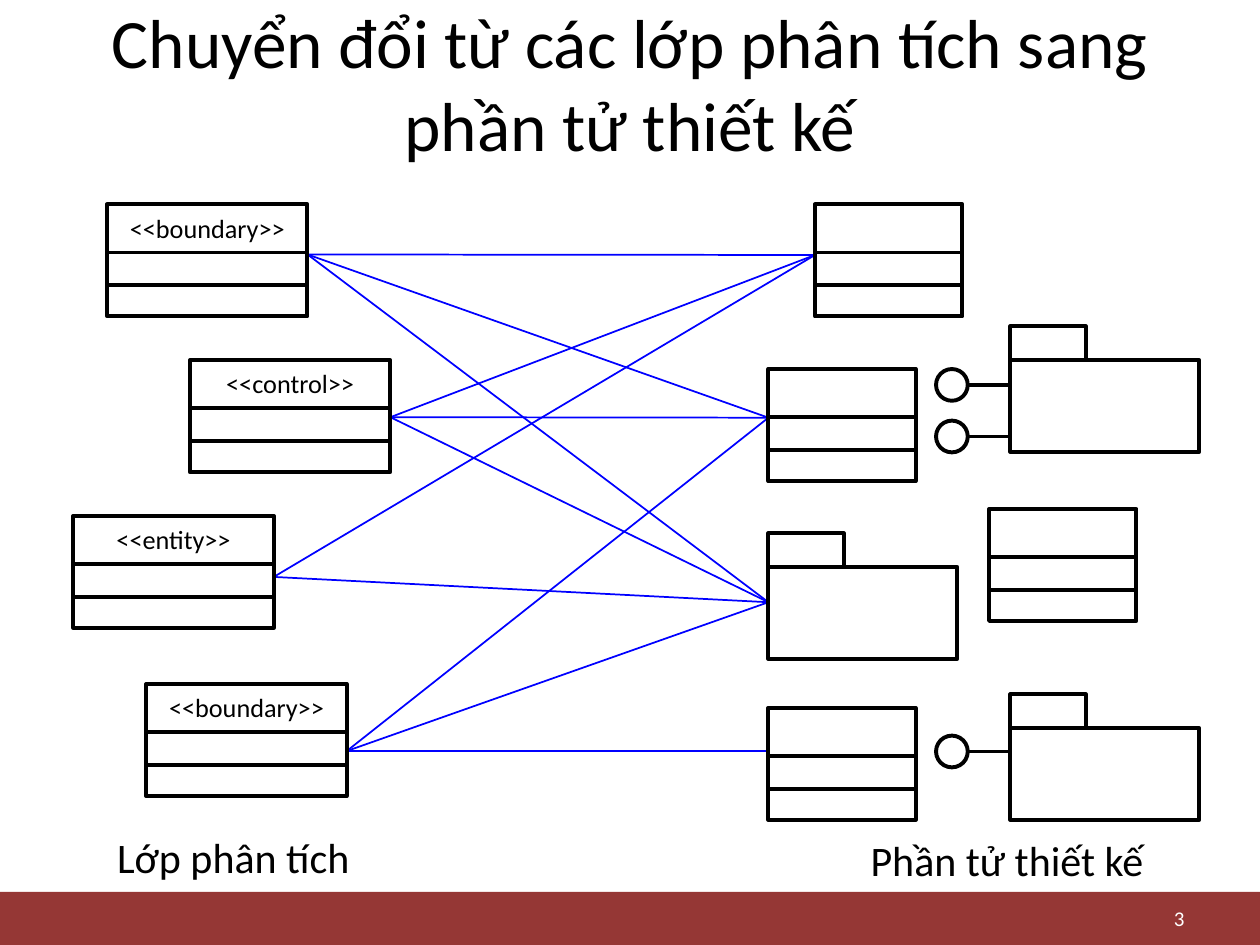
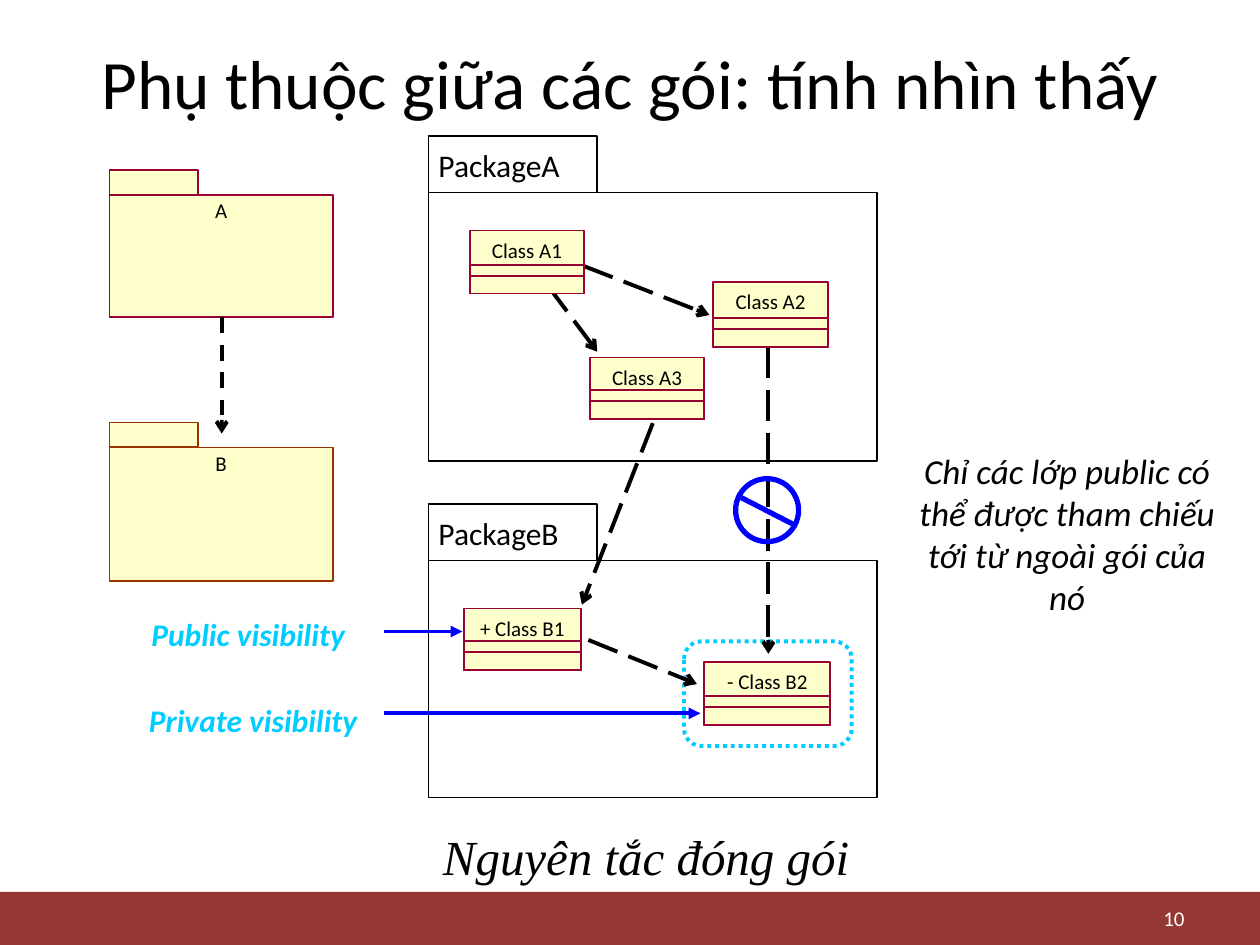
"""Build two slides on moving from analysis classes to design elements and packages."""
import lxml.etree
import pptx
import pptx.dml.color
import pptx.enum.dml
import pptx.enum.shapes
import pptx.enum.text
import pptx.oxml.ns
import pptx.util

Cm = pptx.util.Cm
Pt = pptx.util.Pt
RGBColor = pptx.dml.color.RGBColor
SHAPE = pptx.enum.shapes.MSO_SHAPE
DASH = pptx.enum.dml.MSO_LINE
ALIGN = pptx.enum.text.PP_ALIGN
ANCHOR = pptx.enum.text.MSO_ANCHOR

BLACK = RGBColor(0x00, 0x00, 0x00)
WHITE = RGBColor(0xFF, 0xFF, 0xFF)
BAND_RED = RGBColor(0x95, 0x37, 0x35)
BLUE = RGBColor(0x00, 0x00, 0xFF)
CYAN = RGBColor(0x00, 0xCC, 0xFF)
CREAM = RGBColor(0xFF, 0xFF, 0xCC)
WINE = RGBColor(0x99, 0x00, 0x33)
BROWN = RGBColor(0x99, 0x33, 0x00)
FONT = "Calibri"
SERIF = "Times New Roman"

SLIDE_SIZE = (25.4, 19.05)
TITLE_AREA = (1.27, 0.76, 22.86, 1.78)
BAND_AREA = (0, 17.98, 25.4, 1.07)
NUMBER_AREA = (18.21, 18.16, 5.92, 0.69)
INSETS = (0.25, 0.13)
WIDE_INSETS = (0.3, 0.15)
NO_INSETS = (0, 0)

MAPPING_TITLE = "Chuyển đổi từ các lớp phân tích sang phần tử thiết kế"
ANALYSIS_WIDTH, DESIGN_WIDTH, CLASS_HEIGHT = 4.04, 2.97, 2.26
COMPARTMENTS = (0.97, 1.63)
ANALYSIS_CLASSES = [
    {"label": "<<boundary>>", "at": (2.16, 4.12), "port": 5.13, "to": ("form", "logic", "package")},
    {"label": "<<control>>", "at": (3.83, 7.26), "port": 8.41, "to": ("form", "logic", "package")},
    {"label": "<<entity>>", "at": (1.48, 10.4), "port": 11.63, "to": ("form", "package")},
    {"label": "<<boundary>>", "at": (2.95, 13.79), "port": 15.14, "to": ("logic", "package", "proxy")},
]
DESIGN_CLASSES = [(16.43, 4.12), (15.49, 7.44), (19.94, 10.26), (15.49, 14.27)]
DESIGN_PORTS = {
    "form": (16.43, 5.14),
    "logic": (15.49, 8.42),
    "package": (15.49, 12.14),
    "proxy": (15.49, 15.14),
}
DESIGN_PACKAGES = [
    ((20.37, 6.58), (7.76, 8.8)),
    ((15.49, 10.75), ()),
    ((20.37, 14.0), (15.15,)),
]
PACKAGE_BODY, PACKAGE_TAB = (3.81, 1.85), (1.52, 0.68)
INTERFACE_LEFT, INTERFACE_SIZE = 18.87, 0.64
CAPTIONS = [
    ("Lớp phân tích", (2.11, 16.64, 5.26, 1.27)),
    ("Phần tử thiết kế", (17.3, 16.69, 6.07, 1.27)),
]

VISIBILITY_TITLE = "Phụ thuộc giữa các gói: tính nhìn thấy"
OPEN_PACKAGES = [("PackageB", (8.64, 10.16), (9.04, 4.78)), ("PackageA", (8.64, 2.74), (9.04, 5.41))]
OPEN_TAB = (3.4, 1.14)
SMALL_PACKAGES = [
    ("A", (2.21, 3.43), (4.5, 2.46), WINE),
    ("B", (2.21, 8.52), (4.5, 2.69), BROWN),
]
SMALL_TAB = (1.78, 0.5)
CLASSES = [
    ("Class A1", (9.47, 4.65, 2.31, 1.27)),
    ("Class A2", (14.38, 5.69, 2.31, 1.3)),
    ("Class A3", (11.89, 7.21, 2.31, 1.24)),
    ("+ Class B1", (9.35, 12.27, 2.36, 1.24)),
    ("- Class B2", (14.2, 13.34, 2.54, 1.27)),
]
CLASS_PARTS = (0.58, 0.36)
DEPENDENCIES = [
    ((11.86, 12.9), (14.05, 13.79), DASH.LONG_DASH),
    ((11.76, 5.36), (14.3, 6.35), DASH.LONG_DASH),
    ((11.05, 5.77), (12.04, 7.09), DASH.LONG_DASH),
    ((13.16, 8.53), (11.73, 12.19), DASH.LONG_DASH),
    ((15.49, 6.99), (15.49, 13.18), DASH.LONG_DASH),
    ((4.47, 6.4), (4.47, 8.74), DASH.DASH),
]
VISIBILITIES = [
    ("Public visibility", (2.44, 12.27, 5.13, 1.02), (7.75, 12.73), (9.32, 12.73)),
    ("Private visibility", (2.44, 14.0, 5.33, 1.02), (7.75, 14.38), (14.12, 14.38)),
]
PRIVATE_FRAME = (13.79, 12.93, 3.38, 2.11)
STOP_SIGN = (14.83, 9.65, 1.27, 1.27)
STOP_BAR = ((14.94, 10.03), (16.03, 10.59))
RULE = ("Chỉ các lớp public có thể được tham chiếu tới từ ngoài gói của nó", (18.11, 8.92, 6.81, 3.68))
PRINCIPLE = ("Nguyên tắc đóng gói", (4.45, 16.51, 17.15, 1.5))


def fill_text(frame, text, size, color=BLACK, font=FONT, align=ALIGN.LEFT,
              bold=False, italic=False):
    """Write one formatted run into the first paragraph of a frame."""
    para = frame.paragraphs[0]
    para.alignment = align
    span = para.add_run()
    span.text = text
    span.font.name = font
    span.font.size = Pt(size)
    span.font.color.rgb = color
    span.font.bold = bold
    span.font.italic = italic


def add_text(page, area, text, size, insets=INSETS, anchor=ANCHOR.TOP, wrap=True, **style):
    """Add a text box."""
    frame = page.shapes.add_textbox(*map(Cm, area)).text_frame
    frame.word_wrap = wrap
    frame.vertical_anchor = anchor
    frame.margin_left = frame.margin_right = Cm(insets[0])
    frame.margin_top = frame.margin_bottom = Cm(insets[1])
    fill_text(frame, text, size, **style)


def add_figure(page, area, line=BLACK, weight=2.25, fill=None, kind=SHAPE.RECTANGLE):
    """Add a preset shape with an optional fill and outline."""
    figure = page.shapes.add_shape(kind, *map(Cm, area))
    figure.shadow.inherit = False
    if fill is None:
        figure.fill.background()
    else:
        figure.fill.solid()
        figure.fill.fore_color.rgb = fill
    if line is None:
        figure.line.fill.background()
    else:
        figure.line.color.rgb = line
        figure.line.width = Pt(weight)
    return figure


def add_line(page, start, end, color=BLACK, weight=2.25, dash=None, head=None):
    """Add a straight connector with an optional dash and arrowhead."""
    qn = pptx.oxml.ns.qn
    link = page.shapes.add_connector(
        pptx.enum.shapes.MSO_CONNECTOR.STRAIGHT, *map(Cm, start + end))
    link.line.color.rgb = color
    link.line.width = Pt(weight)
    if dash is not None:
        link.line.dash_style = dash
    if head:
        lxml.etree.SubElement(link.line._get_or_add_ln(), qn("a:tailEnd"), type=head)
    lxml.etree.SubElement(link._element.spPr, qn("a:effectLst"))


def add_package(page, corner, body, tab, **style):
    """Add a package symbol: a tab on top of a body."""
    left, top = corner
    add_figure(page, (left, top + tab[1], *body), **style)
    add_figure(page, (left, top, *tab), **style)


def add_class_outline(page, corner, width):
    """Add an empty class symbol with three compartments."""
    left, top = corner
    add_figure(page, (left, top, width, CLASS_HEIGHT))
    for offset in COMPARTMENTS:
        add_line(page, (left, top + offset), (left + width, top + offset))


def add_page(deck, title, number):
    """Add a slide with the shared title, band and number."""
    page = deck.slides.add_slide(deck.slide_layouts[5])
    add_figure(page, BAND_AREA, line=None, fill=BAND_RED)
    box = page.shapes.title
    box.left, box.top, box.width, box.height = map(Cm, TITLE_AREA)
    frame = box.text_frame
    frame.word_wrap = True
    frame.auto_size = pptx.enum.text.MSO_AUTO_SIZE.NONE
    frame.vertical_anchor = ANCHOR.MIDDLE
    fill_text(frame, title, 39.6, align=ALIGN.CENTER)
    add_text(page, NUMBER_AREA, number, 12, anchor=ANCHOR.MIDDLE,
             color=WHITE, align=ALIGN.RIGHT)
    return page


def build_mapping(deck):
    """Build the slide that maps analysis classes to design elements."""
    page = add_page(deck, MAPPING_TITLE, "3")
    for item in ANALYSIS_CLASSES:
        port = (item["at"][0] + ANALYSIS_WIDTH, item["port"])
        for target in item["to"]:
            add_line(page, port, DESIGN_PORTS[target], color=BLUE, weight=1)
    for corner in DESIGN_CLASSES:
        add_class_outline(page, corner, DESIGN_WIDTH)
    for corner, interfaces in DESIGN_PACKAGES:
        add_package(page, corner, PACKAGE_BODY, PACKAGE_TAB)
        for middle in interfaces:
            add_figure(page, (INTERFACE_LEFT, middle - INTERFACE_SIZE / 2,
                              INTERFACE_SIZE, INTERFACE_SIZE), kind=SHAPE.OVAL)
            add_line(page, (INTERFACE_LEFT + INTERFACE_SIZE, middle), (corner[0], middle))
    for item in ANALYSIS_CLASSES:
        left, top = item["at"]
        add_class_outline(page, item["at"], ANALYSIS_WIDTH)
        add_text(page, (left - 0.2, top, ANALYSIS_WIDTH + 0.4, 0.94), item["label"], 15,
                 insets=WIDE_INSETS, align=ALIGN.CENTER)
    for caption, area in CAPTIONS:
        add_text(page, area, caption, 24, wrap=False)


def build_visibility(deck):
    """Build the slide on package dependencies and visibility."""
    page = add_page(deck, VISIBILITY_TITLE, "10")
    for name, corner, body in OPEN_PACKAGES:
        add_package(page, corner, body, OPEN_TAB, weight=1)
        add_text(page, (corner[0] + 0.2, corner[1] + 0.2, 2.9, 0.76), name, 18,
                 insets=NO_INSETS, wrap=False)
    for name, corner, body, color in SMALL_PACKAGES:
        add_package(page, corner, body, SMALL_TAB, line=color, weight=1, fill=CREAM)
        add_text(page, (corner[0], corner[1] + SMALL_TAB[1] + 0.06, body[0], 0.51), name, 12,
                 insets=NO_INSETS, align=ALIGN.CENTER)
    add_figure(page, PRIVATE_FRAME, line=CYAN,
               kind=SHAPE.ROUNDED_RECTANGLE).line.dash_style = DASH.ROUND_DOT
    for start, end, dash in DEPENDENCIES:
        add_line(page, start, end, dash=dash, head="arrow")
    add_figure(page, STOP_SIGN, line=BLUE, weight=3, kind=SHAPE.OVAL)
    add_line(page, *STOP_BAR, color=BLUE, weight=3)
    for name, area, start, end in VISIBILITIES:
        add_text(page, area, name, 18, anchor=ANCHOR.MIDDLE, wrap=False, color=CYAN,
                 align=ALIGN.CENTER, bold=True, italic=True)
        add_line(page, start, end, color=BLUE, head="triangle")
    for name, area in CLASSES:
        left, top, width, height = area
        add_figure(page, area, line=WINE, weight=1, fill=CREAM)
        add_text(page, (left, top + 0.13, width, 0.51), name, 12,
                 insets=NO_INSETS, align=ALIGN.CENTER)
        for part in CLASS_PARTS:
            add_figure(page, (left, top + height - part, width, part), line=WINE, weight=1)
    text, area = RULE
    add_text(page, area, text, 20, anchor=ANCHOR.MIDDLE, align=ALIGN.CENTER, italic=True)
    text, area = PRINCIPLE
    add_text(page, area, text, 28, insets=WIDE_INSETS, font=SERIF,
             align=ALIGN.CENTER, italic=True)


def main():
    """Create the deck and save it."""
    deck = pptx.Presentation()
    deck.slide_width, deck.slide_height = map(Cm, SLIDE_SIZE)
    build_mapping(deck)
    build_visibility(deck)
    deck.save("out.pptx")


if __name__ == "__main__":
    main()
